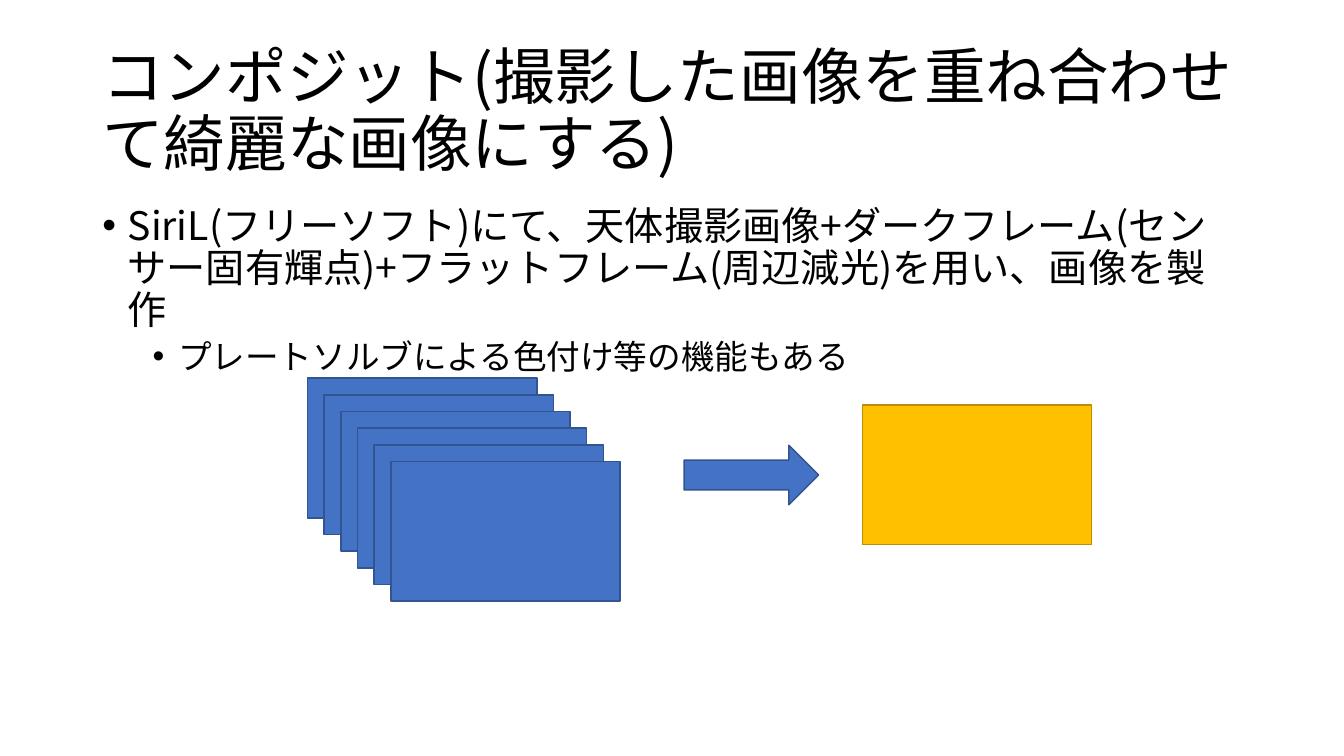
from dataclasses import dataclass

from lxml import etree
from pptx import Presentation
from pptx.dml.color import RGBColor
from pptx.enum.shapes import MSO_SHAPE
from pptx.enum.text import MSO_ANCHOR
from pptx.oxml.ns import qn
from pptx.util import Cm, Pt

RECTANGLE = MSO_SHAPE.RECTANGLE
RIGHT_ARROW = MSO_SHAPE.RIGHT_ARROW
MIDDLE = MSO_ANCHOR.MIDDLE
TOP = MSO_ANCHOR.TOP


@dataclass(frozen=True)
class Theme:
    """Colours, font and type sizes of the slide."""
    font: str = "Noto Sans CJK JP"
    text: str = "000000"
    frame_fill: str = "4472C4"
    frame_line: str = "325491"
    result_fill: str = "FFC000"
    result_line: str = "BD8E00"
    title_size: int = 44
    body_sizes: tuple = (28, 24)


THEME = Theme()
TITLE = "コンポジット(撮影した画像を重ね合わせて綺麗な画像にする)"
POINTS = [
    (0, "SiriL(フリーソフト)にて、天体撮影画像+ダークフレーム(センサー固有輝点)"
        "+フラットフレーム(周辺減光)を用い、画像を製作"),
    (1, "プレートソルブによる色付け等の機能もある"),
]
FRAME_COUNT = 6
FRAME_WIDTH, FRAME_HEIGHT, FRAME_STEP = 5.78, 3.52, 0.42


def add_text_box(slide, box, anchor):
    """Add a wrapping text box and return its text frame."""
    text_frame = slide.shapes.add_textbox(*map(Cm, box)).text_frame
    text_frame.word_wrap = True
    text_frame.vertical_anchor = anchor
    return text_frame


def format_paragraph(paragraph, size):
    """Apply line spacing, font, size and colour to a paragraph."""
    paragraph.line_spacing = 0.9
    for run in paragraph.runs:
        run.font.size = Pt(size)
        run.font.name = THEME.font
        run.font.color.rgb = RGBColor.from_string(THEME.text)
        east_asian = etree.SubElement(run.font._element, qn("a:ea"))
        east_asian.set("typeface", THEME.font)


def add_bullet(paragraph, level):
    """Give a paragraph a hanging bullet for its level."""
    properties = paragraph._p.get_or_add_pPr()
    properties.set("marL", str(Cm(0.64 + 1.27 * level)))
    properties.set("indent", str(Cm(-0.64)))
    bullet_font = etree.SubElement(properties, qn("a:buFont"))
    bullet_font.set("typeface", "Arial")
    etree.SubElement(properties, qn("a:buChar")).set("char", "•")


def add_title(slide, box):
    """Place the slide title in the box."""
    text_frame = add_text_box(slide, box, MIDDLE)
    text_frame.text = TITLE
    format_paragraph(text_frame.paragraphs[0], THEME.title_size)


def add_points(slide, box):
    """Place the bulleted points in the box."""
    text_frame = add_text_box(slide, box, TOP)
    for index, (level, text) in enumerate(POINTS):
        paragraph = text_frame.add_paragraph() if index else text_frame.paragraphs[0]
        paragraph.text = text
        paragraph.level = level
        if index:
            paragraph.space_before = Pt(5)
        add_bullet(paragraph, level)
        format_paragraph(paragraph, THEME.body_sizes[level])


def add_block(slide, kind, box, fill, line):
    """Add a filled and outlined shape without shadow."""
    shape = slide.shapes.add_shape(kind, *map(Cm, box))
    shape.shadow.inherit = False
    shape.fill.solid()
    shape.fill.fore_color.rgb = RGBColor.from_string(fill)
    shape.line.color.rgb = RGBColor.from_string(line)
    shape.line.width = Pt(1)


def add_stacking_diagram(slide, box):
    """Draw the stack of frames, the arrow and the combined image."""
    left, top, width, _ = box
    for index in range(FRAME_COUNT):
        offset = index * FRAME_STEP + 0.01
        frame = (left + offset, top + offset, FRAME_WIDTH, FRAME_HEIGHT)
        add_block(slide, RECTANGLE, frame, THEME.frame_fill, THEME.frame_line)

    center = top + 2.45
    arrow_width, arrow_height = 3.39, 1.5
    arrow = (left + 9.5, center - arrow_height / 2, arrow_width, arrow_height)
    add_block(slide, RIGHT_ARROW, arrow, THEME.frame_fill, THEME.frame_line)

    result = (left + width - FRAME_WIDTH, center - FRAME_HEIGHT / 2,
              FRAME_WIDTH, FRAME_HEIGHT)
    add_block(slide, RECTANGLE, result, THEME.result_fill, THEME.result_line)


def main():
    """Build and save the presentation."""
    presentation = Presentation()
    presentation.slide_width = Cm(33.87)
    presentation.slide_height = Cm(19.05)
    slide = presentation.slides.add_slide(presentation.slide_layouts[6])
    add_title(slide, (2.33, 1.01, 29.21, 3.68))
    add_points(slide, (2.33, 5.07, 29.21, 12.09))
    add_stacking_diagram(slide, (7.74, 9.52, 19.77, 5.62))
    presentation.save("out.pptx")


if __name__ == "__main__":
    main()
